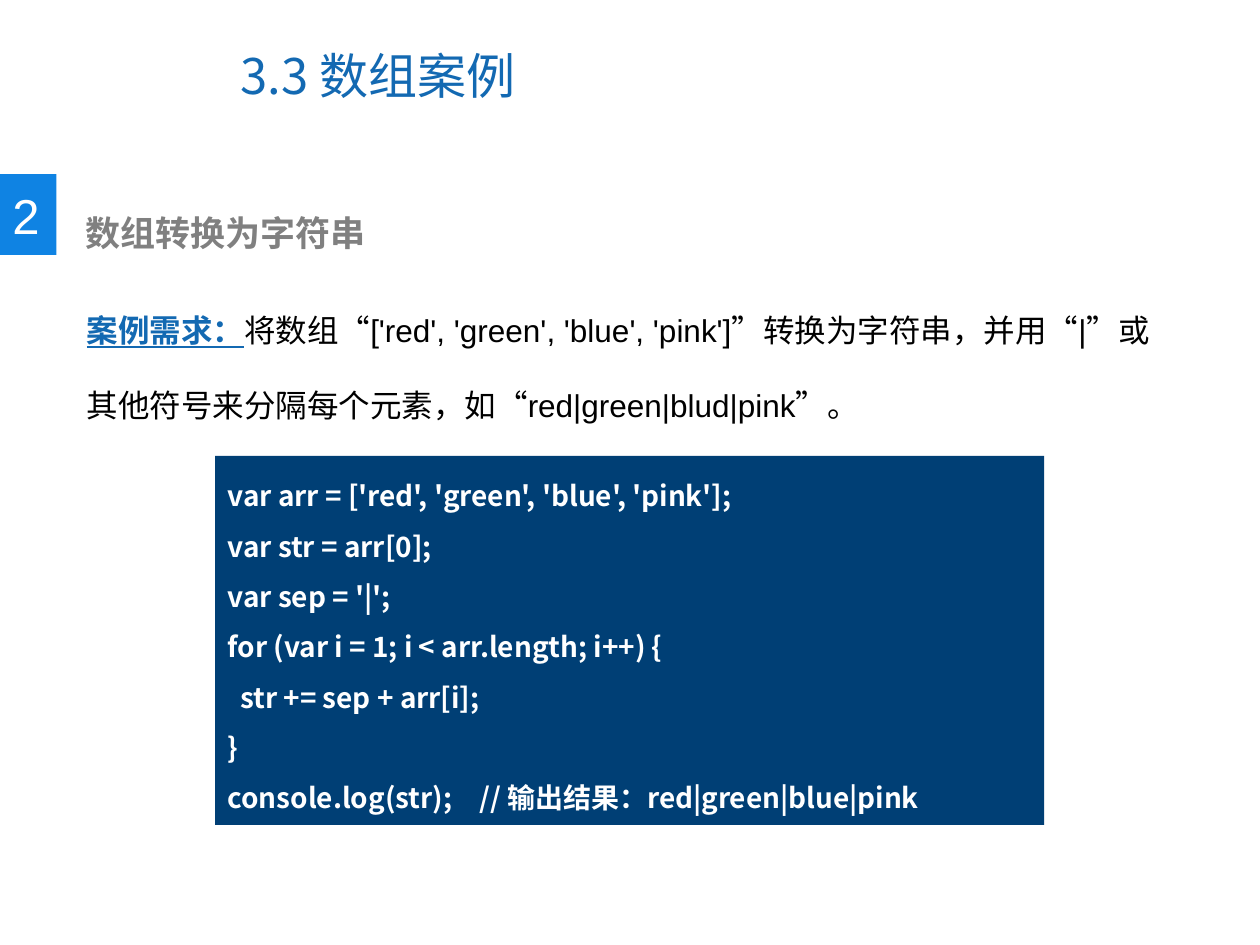
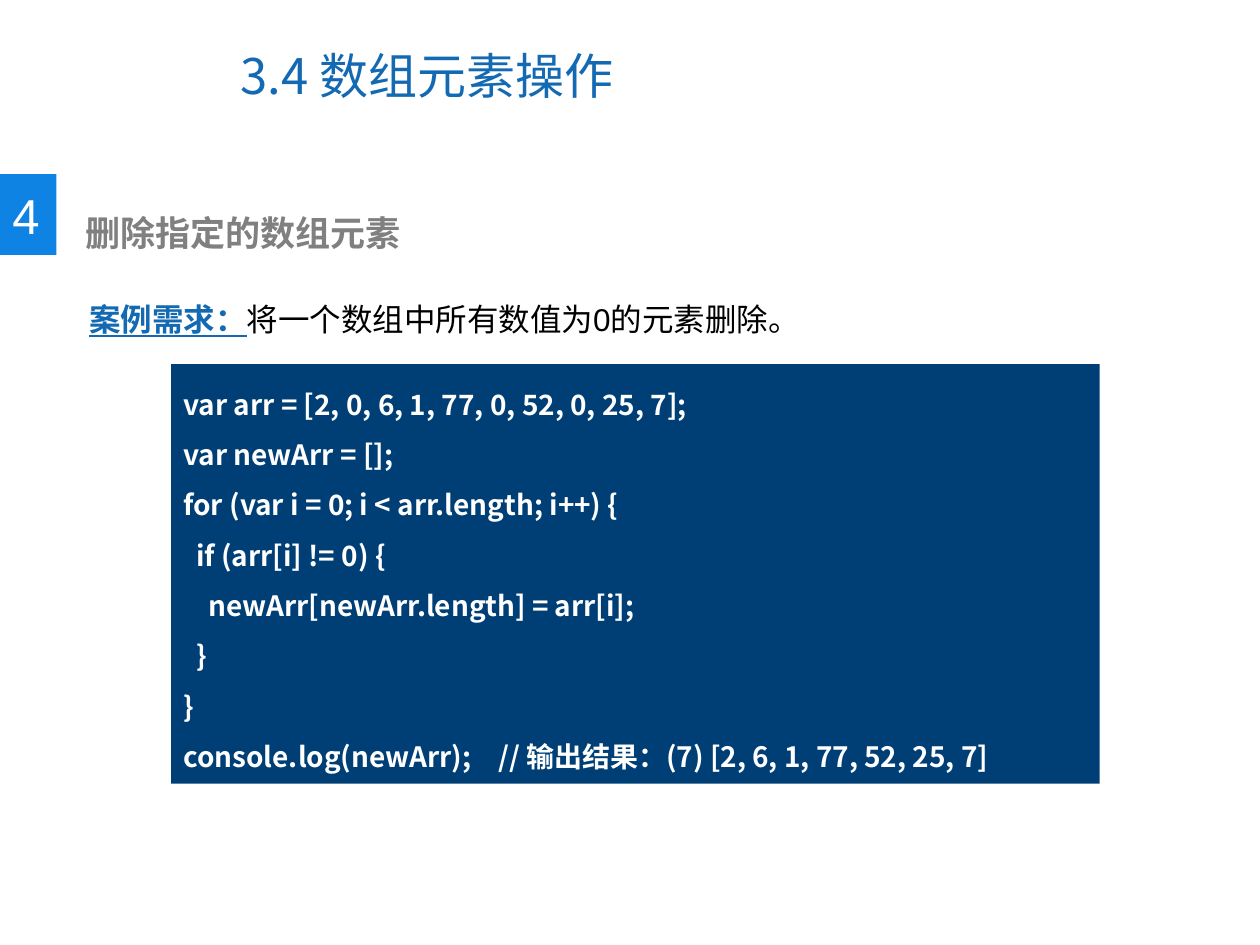
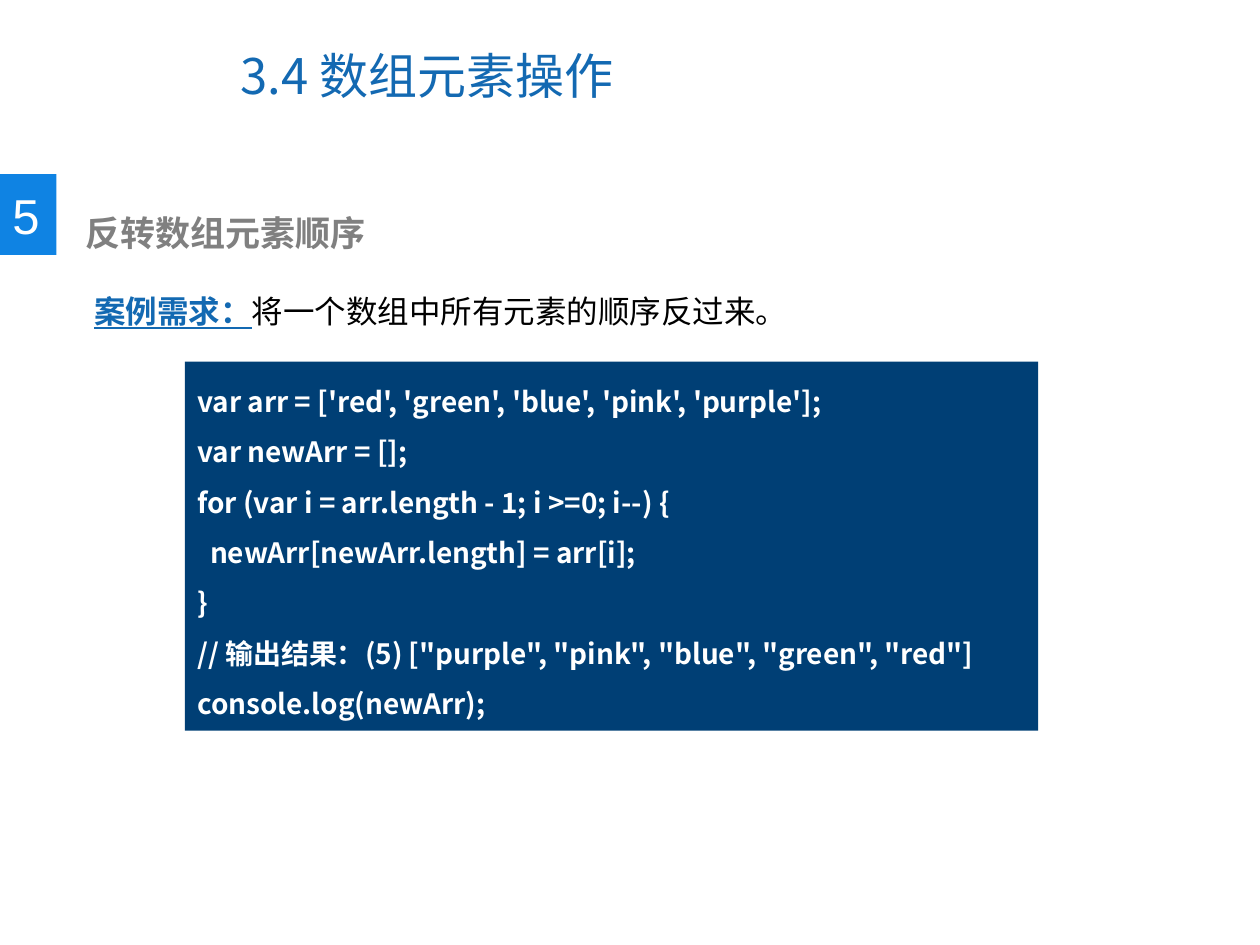
from dataclasses import dataclass

from lxml.etree import SubElement
from pptx import Presentation
from pptx.dml.color import RGBColor
from pptx.enum.shapes import MSO_SHAPE
from pptx.enum.text import MSO_ANCHOR, MSO_AUTO_SIZE, PP_ALIGN
from pptx.oxml.ns import qn
from pptx.util import Cm, Pt

COLORS = {
    "title": "1369B2",
    "badge": "0F83E3",
    "heading": "808080",
    "text": "000000",
    "code": "003F75",
    "white": "FFFFFF",
}
CJK_FONT = "Noto Sans CJK SC"
LATIN_FONT = "Arial"
REQUIREMENT_LABEL = "案例需求："

TITLE = {"size": Pt(28), "name": CJK_FONT, "color": "title"}
NUMBER = {"size": Pt(28), "name": LATIN_FONT, "color": "white"}
HEADING = {"size": Pt(20), "name": LATIN_FONT, "bold": True, "color": "heading"}
LABEL = {"size": Pt(18), "name": LATIN_FONT, "bold": True, "underline": True, "color": "title"}
BODY = {"size": Pt(18), "name": LATIN_FONT, "bold": False, "underline": False, "color": "text"}
CODE = {"size": Pt(16), "name": CJK_FONT, "bold": True, "color": "white"}


@dataclass(frozen=True)
class Box:
    left: float
    top: float
    width: float
    height: float

    def lengths(self) -> tuple:
        return Cm(self.left), Cm(self.top), Cm(self.width), Cm(self.height)


@dataclass(frozen=True)
class Example:
    title: str
    number: str
    heading: str
    requirement: str
    requirement_box: Box
    code: str
    code_left: float
    code_top: float
    code_width: float


TITLE_BOX = Box(4.6, 0.43, 13.11, 2.16)
BADGE_BOX = Box(0, 3.51, 1.14, 1.63)
NUMBER_BOX = Box(0, 3.61, 1.07, 1.45)
HEADING_BOX = Box(1.47, 4.14, 12.78, 1.12)
CODE_LINE_HEIGHT = 1.02
CODE_PADDING = 0.3

EXAMPLES = [
    Example(
        "3.3 数组案例", "2", "数组转换为字符串",
        "将数组“['red', 'green', 'blue', 'pink']”转换为字符串，"
        "并用“|”或其他符号来分隔每个元素，如“red|green|blud|pink”。",
        Box(1.5, 5.38, 21.97, 3.33),
        """var arr = ['red', 'green', 'blue', 'pink'];
var str = arr[0];
var sep = '|';
for (var i = 1; i < arr.length; i++) {
  str += sep + arr[i];
}
console.log(str);\t// 输出结果：red|green|blue|pink""",
        4.34, 9.19, 16.71,
    ),
    Example(
        "3.4 数组元素操作", "4", "删除指定的数组元素",
        "将一个数组中所有数值为0的元素删除。",
        Box(1.55, 5.16, 21.97, 1.8),
        """var arr = [2, 0, 6, 1, 77, 0, 52, 0, 25, 7];
var newArr = [];
for (var i = 0; i < arr.length; i++) {
  if (arr[i] != 0) {
    newArr[newArr.length] = arr[i];
  }
}
console.log(newArr);\t// 输出结果：(7) [2, 6, 1, 77, 52, 25, 7]""",
        3.45, 7.34, 18.72,
    ),
    Example(
        "3.4 数组元素操作", "5", "反转数组元素顺序",
        "将一个数组中所有元素的顺序反过来。",
        Box(1.65, 5, 21.97, 1.8),
        """var arr = ['red', 'green', 'blue', 'pink', 'purple'];
var newArr = [];
for (var i = arr.length - 1; i >=0; i--) {
  newArr[newArr.length] = arr[i];
}
// 输出结果：(5) ["purple", "pink", "blue", "green", "red"]
console.log(newArr);""",
        3.73, 7.29, 17.2,
    ),
]


def add_run(paragraph, text: str, style: dict) -> None:
    run = paragraph.add_run()
    run.text = text
    for name, value in style.items():
        if name == "color":
            run.font.color.rgb = RGBColor.from_string(COLORS[value])
        else:
            setattr(run.font, name, value)
    east_asian = SubElement(run.font._element, qn("a:ea"))
    east_asian.set("typeface", CJK_FONT)


def write_lines(shape, lines: list, spacing: float = 1.0, **frame_format) -> None:
    frame = shape.text_frame
    settings = {"word_wrap": True, "vertical_anchor": MSO_ANCHOR.TOP} | frame_format
    for name, value in settings.items():
        setattr(frame, name, value)
    for index, runs in enumerate(lines):
        paragraph = frame.add_paragraph() if index else frame.paragraphs[0]
        paragraph.alignment = PP_ALIGN.LEFT
        paragraph.line_spacing = spacing
        for text, style in runs:
            add_run(paragraph, text, style)


def add_text(shapes, box: Box, runs: list, spacing: float = 1.0, **frame_format) -> None:
    write_lines(shapes.add_textbox(*box.lengths()), [runs], spacing, **frame_format)


def add_rectangle(shapes, box: Box, color: str):
    shape = shapes.add_shape(MSO_SHAPE.RECTANGLE, *box.lengths())
    shape.shadow.inherit = False
    shape.fill.solid()
    shape.fill.fore_color.rgb = RGBColor.from_string(COLORS[color])
    shape.line.fill.background()
    return shape


def add_badge(slide, number: str) -> None:
    group = slide.shapes.add_group_shape()
    add_rectangle(group.shapes, BADGE_BOX, "badge")
    add_text(group.shapes, NUMBER_BOX, [(number, NUMBER)],
             word_wrap=False, auto_size=MSO_AUTO_SIZE.SHAPE_TO_FIT_TEXT)


def add_code(slide, example: Example) -> None:
    lines = example.code.splitlines()
    height = len(lines) * CODE_LINE_HEIGHT + CODE_PADDING
    box = Box(example.code_left, example.code_top, example.code_width, height)
    panel = add_rectangle(slide.shapes, box, "code")
    write_lines(panel, [[(line, CODE)] for line in lines], 1.5)


def add_example(presentation, example: Example) -> None:
    slide = presentation.slides.add_slide(presentation.slide_layouts[6])
    add_text(slide.shapes, TITLE_BOX, [(example.title, TITLE)],
             vertical_anchor=MSO_ANCHOR.MIDDLE)
    add_badge(slide, example.number)
    add_text(slide.shapes, HEADING_BOX, [(example.heading, HEADING)])
    add_text(slide.shapes, example.requirement_box,
             [(REQUIREMENT_LABEL, LABEL), (example.requirement, BODY)], 2.0)
    add_code(slide, example)


def main() -> None:
    presentation = Presentation()
    presentation.slide_width = Cm(25.4)
    presentation.slide_height = Cm(19.05)
    for example in EXAMPLES:
        add_example(presentation, example)
    presentation.save("out.pptx")


if __name__ == "__main__":
    main()
